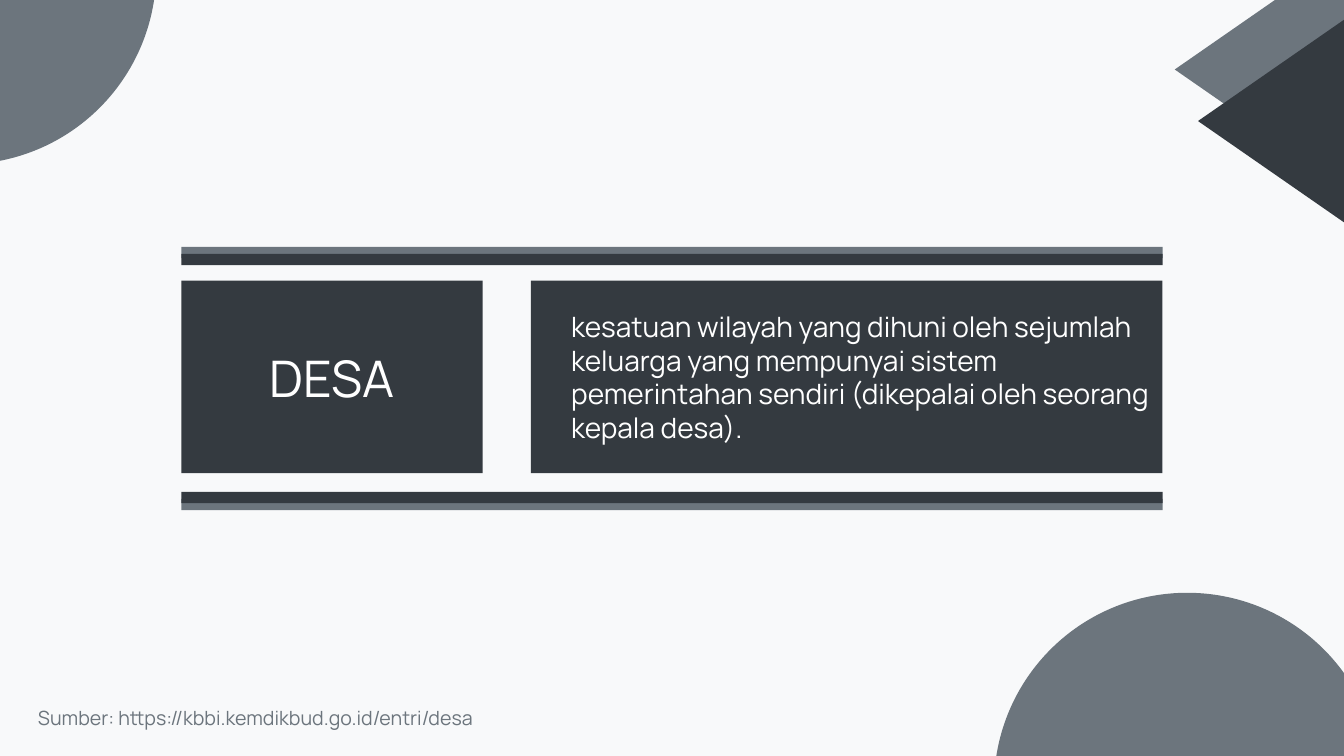
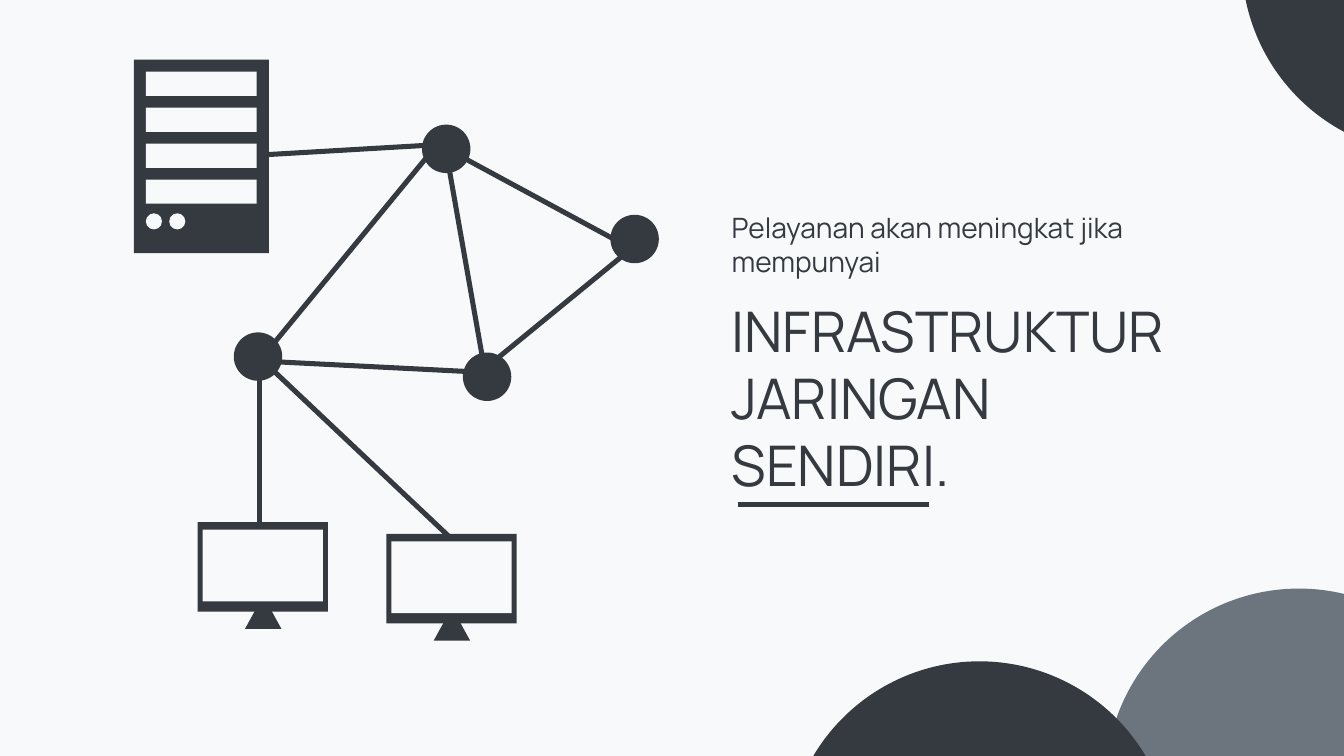
from lxml import etree
from pptx import Presentation
from pptx.dml.color import RGBColor
from pptx.enum import shapes, text
from pptx.oxml import ns
from pptx.util import Pt

DARK = RGBColor(0x34, 0x3A, 0x40)
GREY = RGBColor(0x6C, 0x75, 0x7D)
PALE = RGBColor(0xF8, 0xF9, 0xFA)
WHITE = RGBColor(0xFF, 0xFF, 0xFF)

RECT = shapes.MSO_SHAPE.RECTANGLE
OVAL = shapes.MSO_SHAPE.OVAL
TRIANGLE = shapes.MSO_SHAPE.ISOSCELES_TRIANGLE
LEFT, CENTER = text.PP_ALIGN.LEFT, text.PP_ALIGN.CENTER


def assign(obj, values):
    for name, value in values.items():
        setattr(obj, name, value)


class Deck:
    font = "Manrope"
    line_width = 3.6
    circle_size = 276

    def __init__(self, width, height):
        self.prs = Presentation()
        assign(self.prs, {"slide_width": Pt(width), "slide_height": Pt(height)})
        self.s = None

    def slide(self):
        self.s = self.prs.slides.add_slide(self.prs.slide_layouts[6])
        fill = self.s.background.fill
        fill.solid()
        fill.fore_color.rgb = PALE

    def group(self):
        return self.s.shapes.add_group_shape().shapes

    def shape(self, kind, x, y, w, h, color, host=None, rotation=0):
        sp = (host or self.s.shapes).add_shape(kind, Pt(x), Pt(y), Pt(w), Pt(h))
        sp.fill.solid()
        sp.fill.fore_color.rgb = color
        sp.line.fill.background()
        sp.shadow.inherit = False
        sp.rotation = rotation
        return sp

    def circle(self, x, y, color):
        self.shape(OVAL, x, y, self.circle_size, self.circle_size, color)

    def add_lines(self, tf, lines, size, color, align=LEFT):
        for i, line in enumerate(lines):
            p = tf.add_paragraph() if i else tf.paragraphs[0]
            p.alignment = align
            r = p.add_run()
            r.text = line
            assign(r.font, {"name": self.font, "size": Pt(size)})
            r.font.color.rgb = color

    def label(self, x, y, w, h, lines, size, color):
        tf = self.s.shapes.add_textbox(Pt(x), Pt(y), Pt(w), Pt(h)).text_frame
        assign(tf, {"word_wrap": True,
                    "auto_size": text.MSO_AUTO_SIZE.SHAPE_TO_FIT_TEXT})
        self.add_lines(tf, lines, size, color)

    def panel(self, x, y, w, h, line, size, align, indent=7.2):
        tf = self.shape(RECT, x, y, w, h, DARK).text_frame
        assign(tf, {"word_wrap": True, "margin_left": Pt(indent),
                    "vertical_anchor": text.MSO_ANCHOR.MIDDLE})
        self.add_lines(tf, [line], size, WHITE, align)

    def line(self, x1, y1, x2, y2):
        ln = self.s.shapes.add_connector(
            shapes.MSO_CONNECTOR.STRAIGHT, Pt(x1), Pt(y1), Pt(x2), Pt(y2))
        ln.line.width = Pt(self.line_width)
        ln.line.color.rgb = DARK
        etree.SubElement(ln._element.spPr, ns.qn("a:effectLst"))

    def monitor(self, x, y):
        g = self.group()
        self.shape(TRIANGLE, x + 33.8, y + 52.5, 26, 23.7, DARK, g)
        self.shape(RECT, x, y, 93, 64, DARK, g)
        self.shape(RECT, x + 3.6, y + 5.4, 85.8, 51.2, PALE, g)

    def server(self, x, y):
        g = self.group()
        self.shape(RECT, x, y, 96.5, 138.2, DARK, g)
        for i in range(4):
            self.shape(RECT, x + 8.6, y + 8.6 + 25.7 * i, 79.2, 17.3, PALE, g)
        for i in range(2):
            self.shape(OVAL, x + 8.6 + 16.7 * i, y + 109.8, 11.5, 11.5, PALE, g)


def definition_slide(d):
    d.slide()
    d.label(20, 500.4, 408, 24.5,
            ["Sumber: https://kbbi.kemdikbud.go.id/entri/desa"], 14, GREY)
    for y, color in ((176.4, GREY), (356.4, GREY), (351.4, DARK), (181.4, DARK)):
        d.shape(RECT, 129.6, y, 700.8, 8, color)
    d.panel(129.6, 200.4, 215.2, 137.6, "DESA", 36, CENTER)
    d.panel(379.2, 200.4, 451.2, 137.6,
            "kesatuan wilayah yang dihuni oleh sejumlah keluarga yang mempunyai "
            "sistem pemerintahan sendiri (dikepalai oleh seorang kepala desa).",
            20, LEFT, indent=28.8)
    d.circle(-164.4, -158.6, GREY)
    d.circle(710, 423.4, GREY)
    for x, y, color in ((810.7, -23.8, GREY), (827.3, 13, DARK)):
        d.shape(TRIANGLE, x, y, 203.8, 146.9, color, rotation=270)


def network_slide(d):
    d.slide()
    links = [
        (185.3, 253, 185.3, 426),
        (456, 173.5, 348.5, 261.5),
        (198.5, 258.5, 336.5, 265.5),
        (321, 121.5, 345, 257.5),
        (190, 110.5, 327.5, 102.5),
        (305.5, 111.5, 195, 246),
        (307.5, 100, 461, 183),
        (194.5, 264, 320.5, 383),
    ]
    for link in links:
        d.line(*link)
    for x, y in ((167, 237.4), (301.4, 89), (330.6, 251.8), (436, 153.4)):
        d.shape(OVAL, x, y, 34.6, 34.6, DARK)
    d.server(95.6, 42.6)
    d.monitor(141.2, 373)
    d.monitor(276, 381.4)
    d.label(515.5, 208, 335.5, 152.6,
            ["INFRASTRUKTUR", "JARINGAN", "SENDIRI."], 40, DARK)
    d.label(515.5, 146.8, 347, 55.4,
            ["Pelayanan akan meningkat jika mempunyai"], 20, DARK)
    d.line(527, 360.2, 663.6, 360.2)
    d.circle(789.8, 420.4, GREY)
    d.circle(561.6, 472.4, DARK)
    d.circle(887, -165.6, DARK)


def main():
    d = Deck(960, 540)
    definition_slide(d)
    network_slide(d)
    d.prs.save("out.pptx")


if __name__ == "__main__":
    main()
